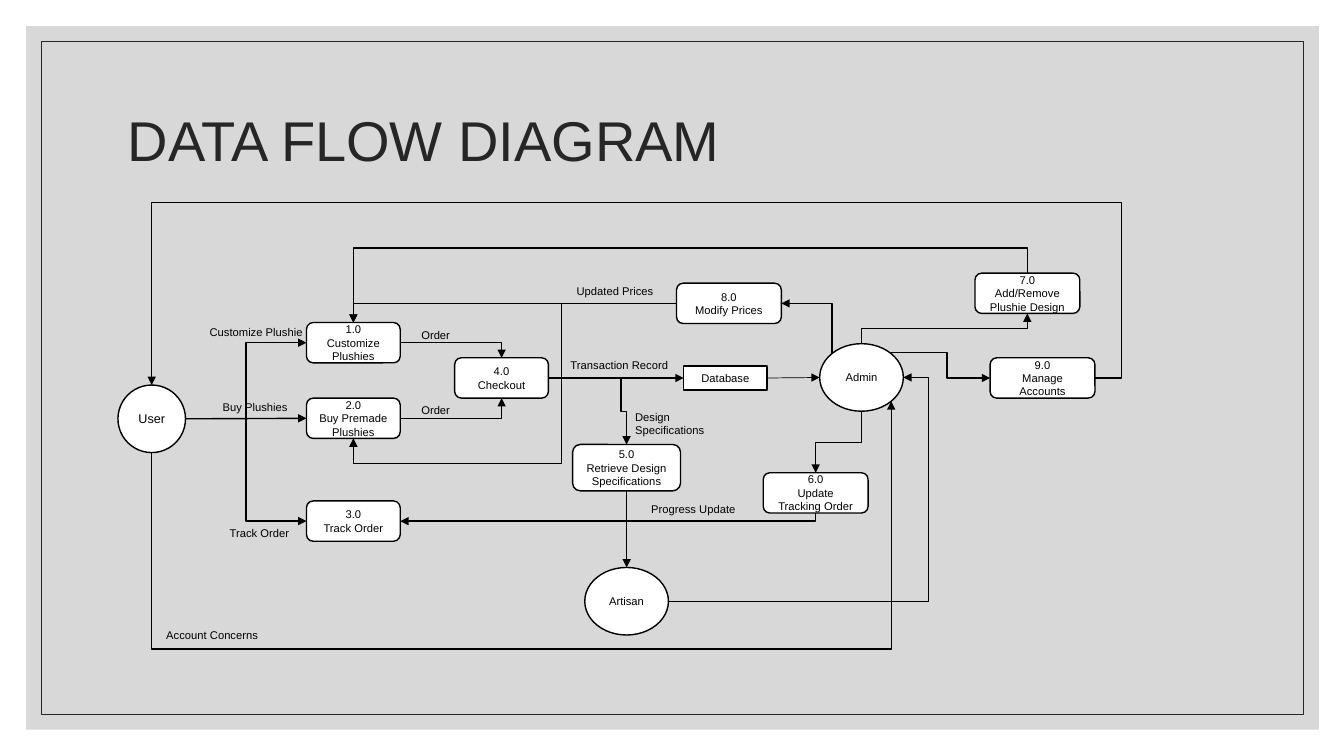
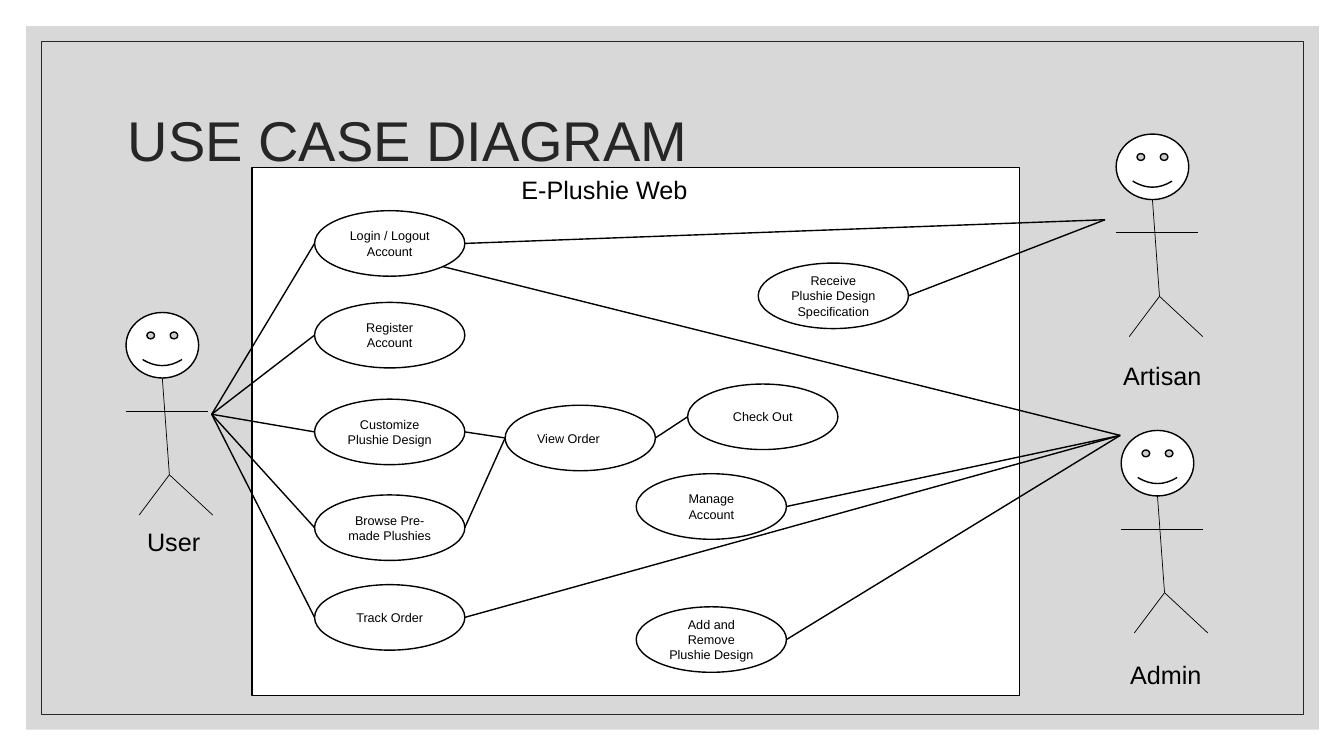
import dataclasses
import math

import pptx
import pptx.dml.color
import pptx.enum.dml
import pptx.enum.shapes
import pptx.enum.text
import pptx.oxml
import pptx.oxml.ns
import pptx.util

SCALE = 9144
BLACK = pptx.dml.color.RGBColor(0x00, 0x00, 0x00)
WHITE = pptx.dml.color.RGBColor(0xFF, 0xFF, 0xFF)
INK = pptx.dml.color.RGBColor(0x26, 0x26, 0x26)
BAND = pptx.dml.color.RGBColor(0xBF, 0xBF, 0xBF)
FONT = "Arial"
SHAPES = pptx.enum.shapes.MSO_SHAPE
LINKS = pptx.enum.shapes.MSO_CONNECTOR
ALIGN = pptx.enum.text.PP_ALIGN
MIDDLE = pptx.enum.text.MSO_ANCHOR.MIDDLE
SIDES = ("top", "top left", "left", "bottom left",
         "bottom", "bottom right", "right", "top right")


@dataclasses.dataclass
class Region:
    page: object
    left: int = 0
    top: int = 0

    def at(self, x, y):
        return (self.left + x) * SCALE, (self.top + y) * SCALE


@dataclasses.dataclass
class Pin:
    point: tuple
    shape: object = None
    side: str = "bottom"


def pin(shape, side):
    angle = math.radians(45 * SIDES.index(side))
    x = shape.left + shape.width * (1 - math.sin(angle)) / 2
    y = shape.top + shape.height * (1 - math.cos(angle)) / 2
    return Pin((round(x), round(y)), shape, side)


def add_element(parent, tag, **attributes):
    element = pptx.oxml.parse_xml(f"<a:{tag} {pptx.oxml.ns.nsdecls('a')}/>")
    for name, value in attributes.items():
        element.set(name, str(value))
    parent.append(element)


def write(box, text, size, color=BLACK, align=ALIGN.LEFT):
    frame = box.text_frame
    frame.word_wrap = True
    frame.text = text
    for para in frame.paragraphs:
        para.alignment = align
        for span in para.runs:
            span.font.name = FONT
            span.font.size = pptx.util.Pt(size)
            span.font.color.rgb = color


def label(region, x, y, width, height, text, size=8, align=ALIGN.LEFT):
    box = region.page.shapes.add_textbox(*region.at(x, y), width * SCALE, height * SCALE)
    write(box, text, size, align=align)


def node(region, kind, x, y, width, height, text="", size=8):
    shape = region.page.shapes.add_shape(
        kind, *region.at(x, y), width * SCALE, height * SCALE)
    shape.shadow.inherit = False
    shape.fill.solid()
    shape.fill.fore_color.rgb = WHITE
    shape.line.color.rgb = BLACK
    shape.line.width = pptx.util.Pt(1)
    if text:
        shape.text_frame.vertical_anchor = MIDDLE
        write(shape, text, size, align=ALIGN.CENTER)
    return shape


def join(connector, start, end):
    links = connector._element.nvCxnSpPr.cNvCxnSpPr
    for target, attach, get_link in (
            (start, connector.begin_connect, links.get_or_add_stCxn),
            (end, connector.end_connect, links.get_or_add_endCxn)):
        if target.shape is None:
            continue
        site = SIDES.index(target.side)
        if target.shape.auto_shape_type == SHAPES.OVAL:
            link = get_link()
            link.id = target.shape.shape_id
            link.idx = site
        else:
            attach(target.shape, site // 2)


def draw_line(region, start, end, width=1.0, arrow=False, kind=LINKS.STRAIGHT):
    connector = region.page.shapes.add_connector(kind, *start.point, *end.point)
    join(connector, start, end)
    connector.line.color.rgb = BLACK
    connector.line.width = pptx.util.Pt(width)
    if arrow:
        add_element(connector.line._get_or_add_ln(), "tailEnd", type="triangle")
    add_element(connector._element.spPr, "effectLst")
    return connector


def draw_elbow(region, start, end, bends=()):
    connector = draw_line(region, start, end, arrow=True, kind=LINKS.ELBOW)
    first = 0 if start.side in ("left", "right") else 1
    second = 1 - first
    travel = [end.point[axis] - start.point[axis] for axis in (0, 1)]
    steps = []
    for index, bend in enumerate(bends):
        axis = (first + index) % 2
        steps.append((region.at(bend, bend)[axis] - start.point[axis], travel[axis]))
    forward = (steps[0][0] if steps else travel[first]) > 0
    turn = 90 * first + (0 if forward else 180)
    mirror = -1 if turn in (90, 180) else 1

    length, depth = abs(travel[first]), abs(travel[second])
    middle = [(start.point[axis] + end.point[axis]) // 2 for axis in (0, 1)]
    connector.left, connector.top = middle[0] - length // 2, middle[1] - depth // 2
    connector.width, connector.height = length, depth
    frame = connector._element.spPr.xfrm
    frame.set("rot", str(turn * 60000))
    frame.set("flipH", str(int((travel[first] > 0) != forward)))
    frame.set("flipV", str(int(travel[second] * mirror < 0)))

    geometry = connector._element.spPr.find(pptx.oxml.ns.qn("a:prstGeom"))
    geometry.set("prst", f"bentConnector{len(bends) + 2}")
    guides = geometry.find(pptx.oxml.ns.qn("a:avLst"))
    for number, (offset, total) in enumerate(steps, 1):
        add_element(guides, "gd", name=f"adj{number}",
                    fmla=f"val {round(100000 * offset / total)}")


def add_page(deck, title):
    page = deck.slides.add_slide(deck.slide_layouts[6])
    region = Region(page)
    band = node(region, SHAPES.RECTANGLE, 26, 26, 1282, 698)
    band.fill.fore_color.rgb = BAND
    color = band._element.spPr.find(pptx.oxml.ns.qn("a:solidFill"))[0]
    add_element(color, "alpha", val=60000)
    band.line.fill.background()
    frame = node(region, SHAPES.RECTANGLE, 41, 41, 1252, 668)
    frame.fill.background()
    frame.line.color.rgb = INK
    frame.line.width = pptx.util.Pt(0.5)
    heading = page.shapes.add_textbox(*region.at(117, 67), 1100 * SCALE, 150 * SCALE)
    heading.text_frame.vertical_anchor = MIDDLE
    write(heading, title, 40, INK)
    heading.text_frame.paragraphs[0].line_spacing = 0.9
    return page


def data_flow(region):
    user = node(region, SHAPES.OVAL, 17, 182, 67, 67, "User", 9)
    admin = node(region, SHAPES.OVAL, 713, 141, 83, 67, "Admin")
    artisan = node(region, SHAPES.OVAL, 480, 363, 83, 67, "Artisan")
    database = node(region, SHAPES.RECTANGLE, 578, 163, 83, 24, "Database")
    customize, buy, track, checkout, retrieve, update, design, prices, accounts = [
        node(region, SHAPES.ROUNDED_RECTANGLE, x, y, width, height, f"{number}.0\n{text}")
        for number, (x, y, width, height, text) in enumerate((
            (204, 120, 93, 40, "Customize\nPlushies"),
            (204, 195, 93, 40, "Buy Premade\nPlushies"),
            (204, 297, 93, 40, "Track Order"),
            (351, 155, 93, 40, "Checkout"),
            (468, 241, 107, 46, "Retrieve Design Specifications"),
            (657, 269, 104, 40, "Update Tracking Order"),
            (867, 71, 104, 40, "Add/Remove\nPlushie Design"),
            (571, 81, 104, 40, "Modify Prices"),
            (882, 155, 104, 40, "Manage Accounts")), 1)]

    for source, leave, target, enter, width in (
            (user, "right", buy, "left", 1),
            (checkout, "right", database, "left", 1),
            (database, "right", admin, "left", 0.5),
            (retrieve, "bottom", artisan, "top", 1)):
        draw_line(region, pin(source, leave), pin(target, enter), width, arrow=True)

    for source, leave, target, enter, *bends in (
            (user, "right", customize, "left", 144),
            (user, "right", track, "left", 144),
            (buy, "right", checkout, "bottom"),
            (customize, "right", checkout, "top"),
            (admin, "bottom", update, "top", 239),
            (admin, "top", design, "bottom", 126),
            (update, "bottom", track, "right"),
            (design, "top", customize, "top", 46),
            (admin, "top left", prices, "right"),
            (prices, "left", customize, "top"),
            (admin, "top right", accounts, "left", 150, 839),
            (accounts, "right", user, "top", 1012, 1),
            (artisan, "right", admin, "right", 821),
            (user, "bottom", admin, "bottom right", 444),
            (prices, "left", buy, "bottom", 457, 260)):
        draw_elbow(region, pin(source, leave), pin(target, enter), bends)
    draw_elbow(region, Pin(region.at(516, 175)), pin(retrieve, "top"), [208])

    for x, y, width, height, text in (
            (98, 118, 118, 24, "Customize Plushie"),
            (111, 192, 94, 24, "Buy Plushies"),
            (118, 317, 98, 24, "Track Order"),
            (308, 121, 59, 24, "Order"),
            (308, 195, 59, 24, "Order"),
            (456, 151, 122, 24, "Transaction Record"),
            (55, 418, 118, 24, "Account Concerns"),
            (536, 293, 118, 24, "Progress Update"),
            (520, 202, 118, 37, "Design Specifications"),
            (462, 77, 118, 24, "Updated Prices")):
        label(region, x, y, width, height, text)


def actor(region, name, label_x, label_y, label_width):
    node(region, SHAPES.SMILEY_FACE, 0, 0, 72, 65)
    for start, end in (((36, 65), (43, 161)), ((43, 161), (86, 201)),
                       ((43, 161), (13, 201)), ((0, 98), (81, 98))):
        draw_line(region, Pin(region.at(*start)), Pin(region.at(*end)), 0.5)
    label(region, label_x, label_y, label_width, 40, name, 18)


def use_cases(region):
    node(region, SHAPES.RECTANGLE, 150, 66, 761, 524)
    label(region, 390, 68, 219, 40, "E-Plushie Web", 18, ALIGN.CENTER)
    for x, y, name, label_x, label_y, label_width in (
            (25, 210, "User", 11, 207, 95),
            (1007, 33, "Artisan", -3, 220, 132),
            (1012, 327, "Admin", -1, 222, 132)):
        actor(Region(region.page, region.left + x, region.top + y),
              name, label_x, label_y, label_width)

    (login, register, customize, browse, track,
     view, checkout, receive, manage, edit) = [
        node(region, SHAPES.OVAL, x, y, 149, 65, text, 9) for x, y, text in (
            (212, 109, "Login / Logout Account"),
            (212, 200, "Register Account"),
            (212, 296, "Customize Plushie Design"),
            (212, 391, "Browse Pre-made Plushies"),
            (212, 480, "Track Order"),
            (401, 302, "View Order\t"),
            (582, 281, "Check Out"),
            (652, 161, "Receive Plushie Design Specification"),
            (531, 370, "Manage Account"),
            (531, 502, "Add and Remove Plushie Design"))]

    user = Pin(region.at(110, 311))
    artisan = Pin(region.at(996, 118))
    admin = Pin(region.at(1011, 332))
    for case in (login, register, customize, browse, track):
        draw_line(region, user, pin(case, "left"))
    for hand, case, side in (
            (artisan, login, "right"), (artisan, receive, "right"),
            (admin, login, "bottom right"), (admin, manage, "right"),
            (admin, edit, "right"), (admin, track, "right")):
        draw_line(region, hand, pin(case, side))
    for source, target in ((customize, view), (browse, view), (view, checkout)):
        draw_line(region, pin(source, "right"), pin(target, "left"))


def main():
    deck = pptx.Presentation()
    deck.slide_width = 1333 * SCALE
    deck.slide_height = 750 * SCALE
    data_flow(Region(add_page(deck, "DATA FLOW DIAGRAM"), 100, 200))
    use_cases(Region(add_page(deck, "USE CASE DIAGRAM"), 100, 100))
    deck.save("out.pptx")


if __name__ == "__main__":
    main()
